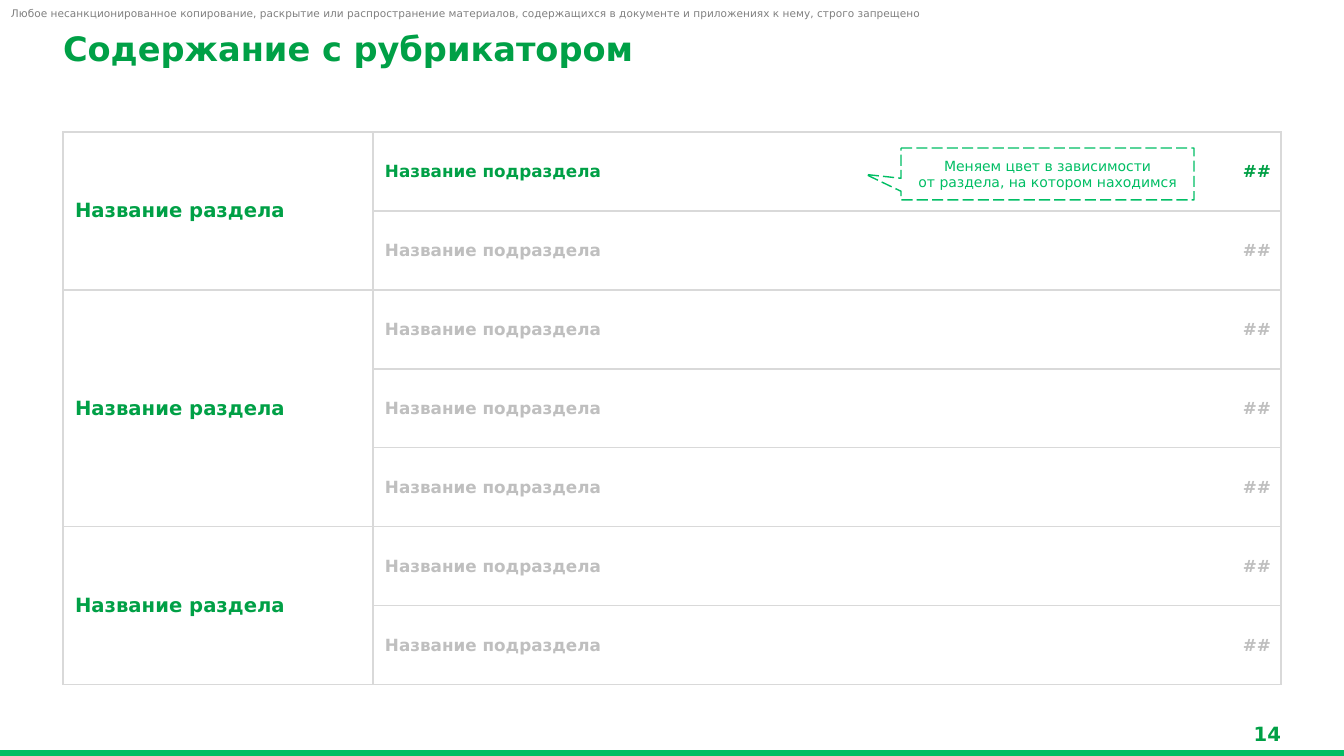
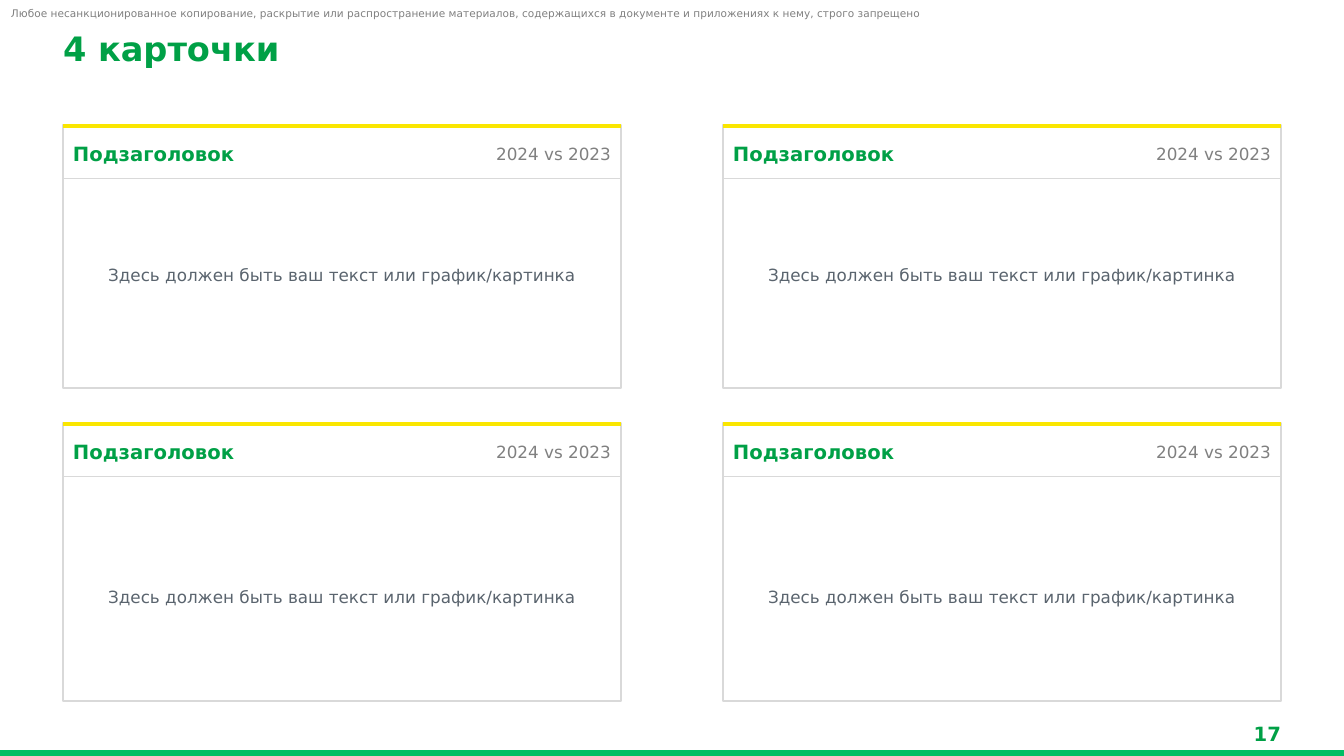
"""Build two template slides: a contents table with sections and a set of four cards."""
from lxml import etree
from pptx import Presentation, util as u
from pptx.dml.color import RGBColor
from pptx.enum import dml, shapes, text
from pptx.oxml import ns

PX = u.Inches(1) / 100.8
FONT = "DejaVu Sans"
GREEN = RGBColor(0x00, 0xA0, 0x46)
BRIGHT_GREEN = RGBColor(0x00, 0xBE, 0x64)
YELLOW = RGBColor(0xFA, 0xE6, 0x00)
WHITE = RGBColor(0xFF, 0xFF, 0xFF)
BORDER = RGBColor(0xD9, 0xD9, 0xD9)
MUTED = RGBColor(0xBF, 0xBF, 0xBF)
GREY = RGBColor(0x80, 0x80, 0x80)
SLATE = RGBColor(0x5A, 0x64, 0x6E)
LEFT, CENTER, RIGHT = text.PP_ALIGN.LEFT, text.PP_ALIGN.CENTER, text.PP_ALIGN.RIGHT
TOP, MIDDLE, BOTTOM = text.MSO_ANCHOR.TOP, text.MSO_ANCHOR.MIDDLE, text.MSO_ANCHOR.BOTTOM

MARGIN = 63
CONTENT_WIDTH = 1218
NOTICE = ("Любое несанкционированное копирование, раскрытие или распространение материалов, "
          "содержащихся в документе и приложениях к нему, строго запрещено")


def px(*lengths):
    return [u.Emu(round(length * PX)) for length in lengths]


def write(frame, content, size, color, bold=False, align=LEFT, anchor=MIDDLE, insets=(0, 0)):
    frame.text = content
    frame.word_wrap = True
    frame.vertical_anchor = anchor
    frame.margin_left, frame.margin_top = frame.margin_right, frame.margin_bottom = px(*insets)
    for para in frame.paragraphs:
        para.alignment = align
        for span in para.runs:
            span.font.name = FONT
            span.font.size = u.Pt(size)
            span.font.bold = bold
            span.font.color.rgb = color


deck = Presentation()
deck.slide_width, deck.slide_height = px(1344, 756)

pages = []
for title, number in (("Содержание с рубрикатором", "14"), ("4 карточки", "17")):
    page = deck.slides.add_slide(deck.slide_layouts[6])
    band = page.shapes.add_shape(shapes.MSO_SHAPE.RECTANGLE, *px(0, 751, 1344, 5))
    band.shadow.inherit = False
    band.fill.solid()
    band.fill.fore_color.rgb = BRIGHT_GREEN
    band.line.color.rgb = BRIGHT_GREEN
    band.line.width = u.Pt(1)
    for area, content, size, color, bold, align, anchor in (
        ((11, 7, 1157, 13), NOTICE, 7.5, GREY, False, LEFT, BOTTOM),
        ((1224, 722, 57, 24), number, 14, GREEN, True, RIGHT, MIDDLE),
        ((MARGIN, 28, 1012, 37), title, 24, GREEN, True, LEFT, TOP),
    ):
        box = page.shapes.add_textbox(*px(*area))
        write(box.text_frame, content, size, color, bold, align, anchor)
    pages.append(page)
contents_page, cards_page = pages

section_sizes = (2, 3, 2)
row_count, row_height = sum(section_sizes), 79
table = contents_page.shapes.add_table(
    row_count, 3, *px(MARGIN, 132, CONTENT_WIDTH, row_count * row_height)).table
table.first_row = table.horz_banding = False
for column, width in zip(table.columns, px(310, 779, 129)):
    column.width = width
for row in table.rows:
    row.height = px(row_height)[0]

section_starts = []
first = 0
for size in section_sizes:
    table.cell(first, 0).merge(table.cell(first + size - 1, 0))
    section_starts.append(first)
    first += size

for row in range(row_count):
    entry_color = GREEN if row == 0 else MUTED
    section_sides = "LRTB" if row in section_starts else "LR"
    for column, (content, size, color, align, sides, inset) in enumerate((
        ("Название раздела", 14, GREEN, LEFT, section_sides, 12),
        ("Название подраздела", 12, entry_color, LEFT, "LTB", 12),
        ("##", 12, entry_color, RIGHT, "RTB", 10),
    )):
        cell = table.cell(row, column)
        if not cell.is_spanned:
            cell.text = content
            cell.vertical_anchor = MIDDLE
            cell.margin_left, cell.margin_right = px(inset, 10)
            para = cell.text_frame.paragraphs[0]
            para.alignment = align
            font = para.runs[0].font
            font.name, font.size, font.bold = FONT, u.Pt(size), True
            font.color.rgb = color
        properties = cell._tc.get_or_add_tcPr()
        for side in "LRTB":
            edge = etree.SubElement(properties, ns.qn(f"a:ln{side}"), w=str(u.Pt(1)))
            if side in sides:
                paint = etree.SubElement(edge, ns.qn("a:solidFill"))
                etree.SubElement(paint, ns.qn("a:srgbClr"), val=str(BORDER))
            else:
                etree.SubElement(edge, ns.qn("a:noFill"))
        cell.fill.background()

callout = contents_page.shapes.add_shape(
    shapes.MSO_SHAPE.RECTANGULAR_CALLOUT, *px(901, 148, 293, 52))
callout.adjustments[0], callout.adjustments[1] = -0.62, 0.01
callout.shadow.inherit = False
callout.fill.solid()
callout.fill.fore_color.rgb = WHITE
callout.line.color.rgb = BRIGHT_GREEN
callout.line.width = u.Pt(1)
callout.line.dash_style = dml.MSO_LINE.LONG_DASH
write(callout.text_frame, "Меняем цвет в зависимости\nот раздела, на котором находимся",
      10, BRIGHT_GREEN, align=CENTER, insets=(4, 5))

card_width = 558
card_lefts = (MARGIN, MARGIN + CONTENT_WIDTH - card_width)
for card_top, card_height, body_top in ((125, 263, 265), (423, 278, 587)):
    for card_left in card_lefts:
        card = cards_page.shapes.add_shape(
            shapes.MSO_SHAPE.RECTANGLE, *px(card_left, card_top, card_width, card_height))
        card.shadow.inherit = False
        card.fill.background()
        card.line.color.rgb = BORDER
        card.line.width = u.Pt(1)
        for y, color, weight in ((card_top + 1, YELLOW, 2.25), (card_top + 54, BORDER, 0.75)):
            rule = cards_page.shapes.add_connector(
                shapes.MSO_CONNECTOR.STRAIGHT, *px(card_left, y, card_left + card_width, y))
            rule.line.color.rgb = color
            rule.line.width = u.Pt(weight)
            etree.SubElement(rule._element.spPr, ns.qn("a:effectLst"))
        header_top = card_top + 9
        for area, content, size, color, bold, align, insets in (
            ((card_left, header_top, 397, 39), "Подзаголовок", 14, GREEN, True, LEFT, (10, 5)),
            ((card_left + card_width - 334, header_top, 334, 39), "2024 vs 2023",
             12, GREY, False, RIGHT, (10, 5)),
            ((card_left, body_top, card_width, 20),
             "Здесь должен быть ваш текст или график/картинка", 12, SLATE, False, CENTER, (0, 0)),
        ):
            box = cards_page.shapes.add_textbox(*px(*area))
            write(box.text_frame, content, size, color, bold, align, insets=insets)

deck.save("out.pptx")
